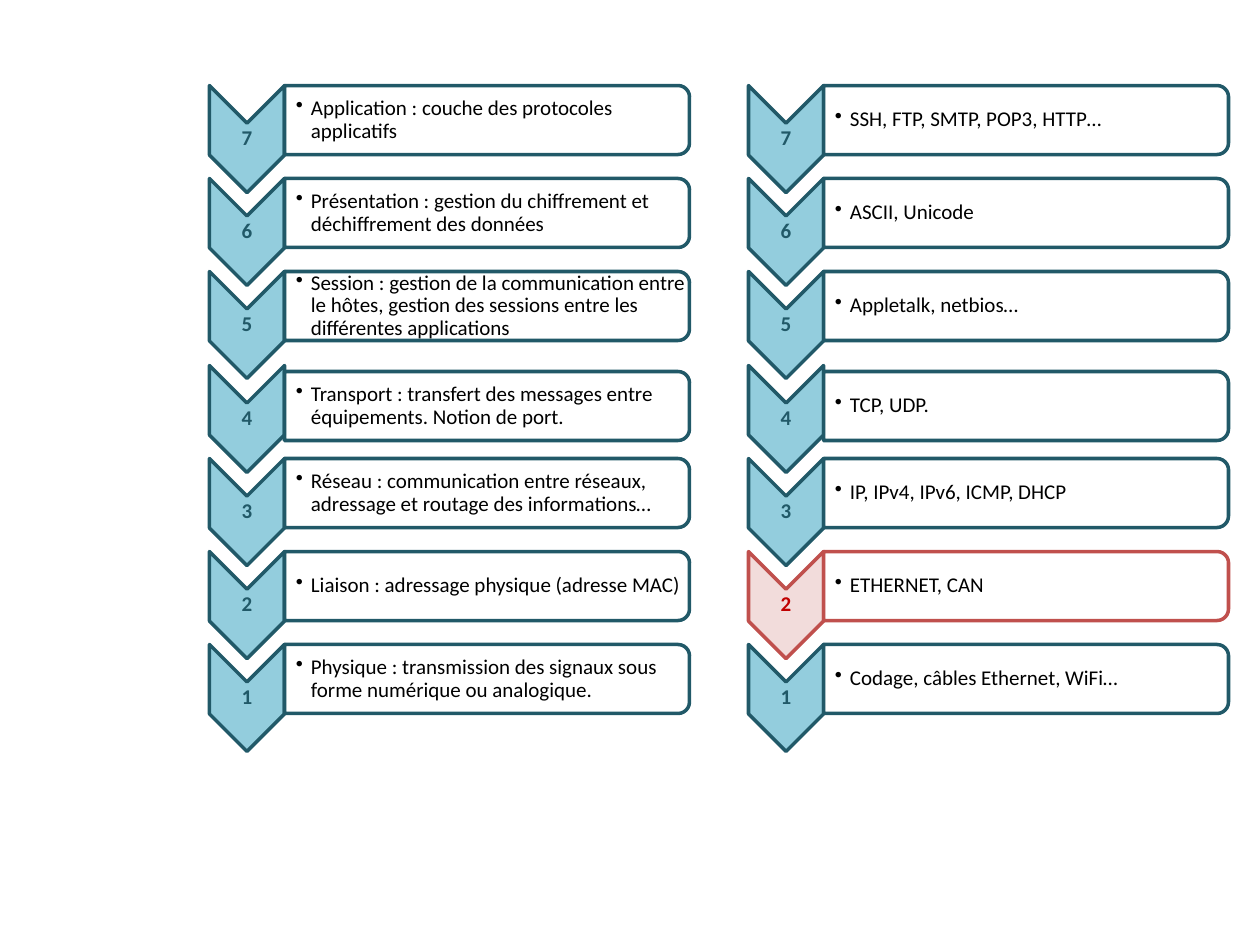
from lxml import etree
from pptx import Presentation
from pptx import util as u
from pptx.dml.color import RGBColor
from pptx.enum import shapes, text
from pptx.oxml import ns

SCALE = u.Inches(1) / 126
THEME = {
    "font": "Calibri", "size": 12, "line": 2, "ink": "000000", "paper": "FFFFFF",
    "normal": {"fill": "93CDDD", "edge": "215968", "number": "215968"},
    "accent": {"fill": "F2DCDB", "edge": "C0504D", "number": "C00000"},
}
COLUMNS = [
    (247, None, [
        "Application : couche des protocoles applicatifs",
        "Présentation : gestion du chiffrement et déchiffrement des données",
        "Session : gestion de la communication entre le hôtes, gestion des sessions entre les différentes applications",
        "Transport : transfert des messages entre équipements. Notion de port.",
        "Réseau : communication entre réseaux, adressage et routage des informations…",
        "Liaison : adressage physique (adresse MAC)",
        "Physique : transmission des signaux sous forme numérique ou analogique.",
    ]),
    (786, 2, [
        "SSH, FTP, SMTP, POP3, HTTP…",
        "ASCII, Unicode",
        "Appletalk, netbios…",
        "TCP, UDP.",
        "IP, IPv4, IPv6, ICMP, DHCP",
        "ETHERNET, CAN",
        "Codage, câbles Ethernet, WiFi…",
    ]),
]


def add_turned(grp, kind, cx, cy, w, h, fill, edge):
    sp = grp.shapes.add_shape(kind, *(round(v * SCALE) for v in (cx - w / 2, cy - h / 2, w, h)))
    sp.rotation = 90
    sp.shadow.inherit = False
    sp.fill.solid()
    sp.fill.fore_color.rgb = RGBColor.from_string(fill)
    sp.line.color.rgb = RGBColor.from_string(edge)
    sp.line.width = u.Pt(THEME["line"])
    return sp


def add_label(grp, cx, cy, w, h, label, color, bold, inset, bullet):
    sp = grp.shapes.add_textbox(*(round(v * SCALE) for v in (cx - w / 2, cy - h / 2, w, h)))
    tf = sp.text_frame
    frame = {"word_wrap": True, "vertical_anchor": text.MSO_ANCHOR.MIDDLE,
             "margin_left": round(inset * SCALE), "margin_top": round(SCALE),
             "margin_right": round(SCALE), "margin_bottom": round(SCALE)}
    for name, value in frame.items():
        setattr(tf, name, value)
    p = tf.paragraphs[0]
    p.line_spacing = 0.9
    if bullet:
        p.level = 1
        pPr = p._p.get_or_add_pPr()
        pPr.set("marL", str(round(15 * SCALE)))
        pPr.set("indent", str(-round(15 * SCALE)))
        etree.SubElement(pPr, ns.qn("a:buChar")).set("char", "•")
    else:
        p.alignment = text.PP_ALIGN.CENTER
    r = p.add_run()
    r.text = label
    for name, value in {"name": THEME["font"], "size": u.Pt(THEME["size"]), "bold": bold}.items():
        setattr(r.font, name, value)
    r.font.color.rgb = RGBColor.from_string(color)


prs = Presentation()
prs.slide_width, prs.slide_height = u.Inches(10), u.Inches(7.5)
s = prs.slides.add_slide(prs.slide_layouts[6])

for cx, accent, layers in COLUMNS:
    grp = s.shapes.add_group_shape()
    for i, description in enumerate(layers):
        number = len(layers) - i
        look = THEME["accent" if number == accent else "normal"]
        cy = 139 + round(559 * i / 6)
        box_y = cy - (13 if number == 4 else 19)
        add_turned(grp, shapes.MSO_SHAPE.CHEVRON, cx, cy, 107, 75, look["fill"], look["edge"])
        add_label(grp, cx, cy, 75, 31, str(number), look["number"], True, 1, False)
        box = add_turned(grp, shapes.MSO_SHAPE.ROUND_2_SAME_RECTANGLE,
                         cx + 240, box_y, 69, 405, THEME["paper"], look["edge"])
        clr = box._element.spPr.find(ns.qn("a:solidFill"))[0]
        etree.SubElement(clr, ns.qn("a:alpha")).set("val", "90000")
        add_label(grp, cx + 239, box_y, 402, 63, description, THEME["ink"], False, 11, True)

prs.save("out.pptx")
